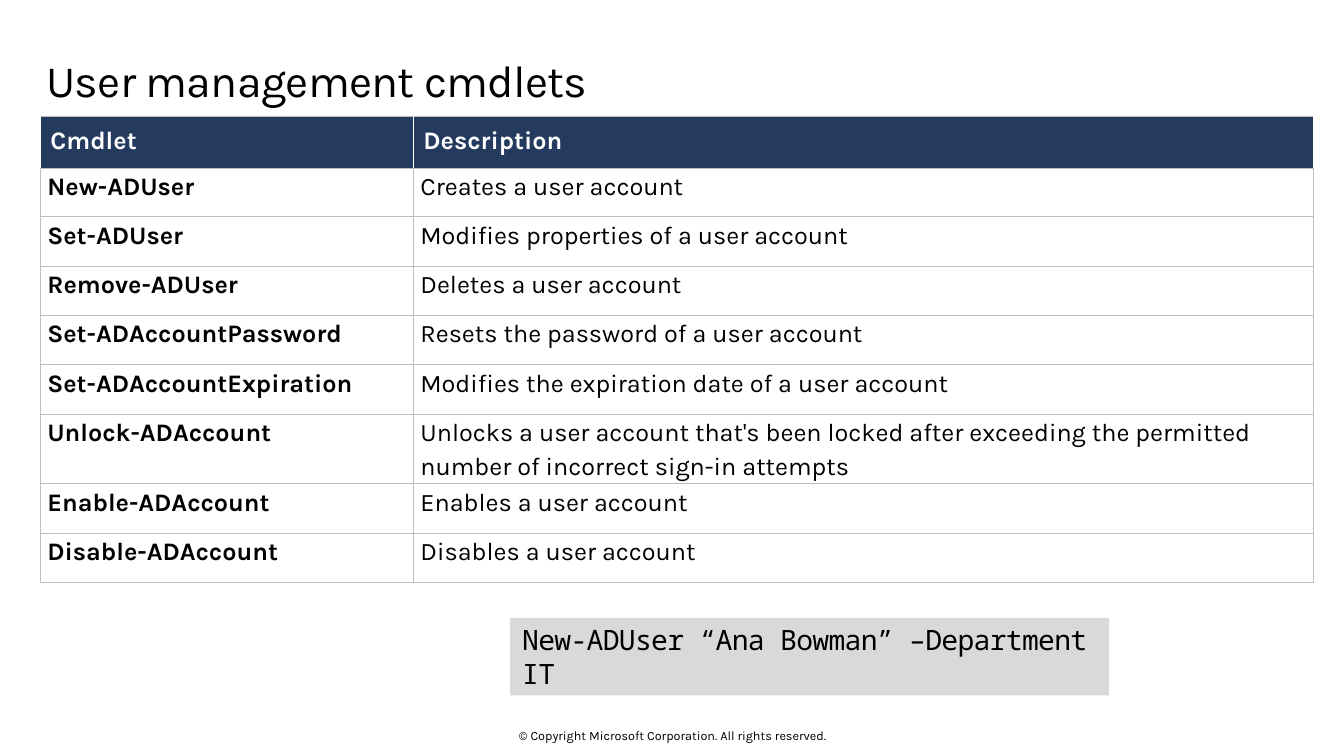
"""Build the slide that lists the user management cmdlets."""
import lxml.etree
import pptx
import pptx.dml.color
import pptx.enum.shapes
import pptx.enum.text
import pptx.oxml
import pptx.oxml.ns
import pptx.util

Inches = pptx.util.Inches
Pt = pptx.util.Pt
RGBColor = pptx.dml.color.RGBColor
PP_ALIGN = pptx.enum.text.PP_ALIGN
MSO_ANCHOR = pptx.enum.text.MSO_ANCHOR

BLACK = RGBColor(0x00, 0x00, 0x00)
WHITE = RGBColor(0xFF, 0xFF, 0xFF)
NAVY = RGBColor(0x24, 0x3A, 0x5E)
RULE_GRAY = RGBColor(0xBF, 0xBF, 0xBF)
CODE_GRAY = RGBColor(0xD9, 0xD9, 0xD9)

CMDLETS = [
    ("Cmdlet", "Description"),
    ("New-ADUser", "Creates a user account"),
    ("Set-ADUser", "Modifies properties of a user account"),
    ("Remove-ADUser", "Deletes a user account"),
    ("Set-ADAccountPassword", "Resets the password of a user account"),
    ("Set-ADAccountExpiration", "Modifies the expiration date of a user account"),
    ("Unlock-ADAccount", "Unlocks a user account that's been locked after exceeding "
                         "the permitted number of incorrect sign-in attempts"),
    ("Enable-ADAccount", "Enables a user account"),
    ("Disable-ADAccount", "Disables a user account"),
]
COLUMN_WIDTHS = [3.7, 8.93]
ROW_HEIGHTS = [0.52, 0.48, 0.49, 0.49, 0.49, 0.49, 0.53, 0.49, 0.49]


def write_text(tf, text, size=18, font="Karla", color=BLACK, bold=False, align=PP_ALIGN.LEFT,
               anchor=MSO_ANCHOR.TOP, insets=(0, 0, 0, 0), line_spacing=None, tracking=None):
    """Fill a text frame with one formatted paragraph."""
    tf.word_wrap = True
    tf.vertical_anchor = anchor
    tf.margin_left, tf.margin_top, tf.margin_right, tf.margin_bottom = map(Inches, insets)
    p = tf.paragraphs[0]
    p.alignment = align
    p.line_spacing = line_spacing
    r = p.add_run()
    r.text = text
    r.font.size = Pt(size)
    r.font.name = font
    r.font.bold = bold
    r.font.color.rgb = color
    if tracking is not None:
        r._r.get_or_add_rPr().set("spc", str(int(tracking * 100)))


def add_border(cell, side, color):
    """Draw one half-point edge of a table cell."""
    qn = pptx.oxml.ns.qn
    ln = lxml.etree.SubElement(cell._tc.get_or_add_tcPr(), qn(f"a:ln{side}"), w=str(Pt(0.5)))
    fill = lxml.etree.SubElement(ln, qn("a:solidFill"))
    lxml.etree.SubElement(fill, qn("a:srgbClr"), val=str(color))


prs = pptx.Presentation()
prs.slide_width = Inches(13.33)
prs.slide_height = Inches(7.5)
s = prs.slides.add_slide(prs.slide_layouts[6])

footer = s.shapes.add_textbox(Inches(4.42), Inches(7.22), Inches(4.5), Inches(0.15))
write_text(footer.text_frame, "© Copyright Microsoft Corporation. All rights reserved.",
           size=9, align=PP_ALIGN.CENTER, anchor=MSO_ANCHOR.MIDDLE)

title = s.shapes.add_textbox(Inches(0.46), Inches(0.48), Inches(12.4), Inches(0.74))
write_text(title.text_frame, "User management cmdlets", size=32,
           insets=(0, 0.1, 0.16, 0.1), line_spacing=0.9, tracking=-0.5)

table = s.shapes.add_table(len(CMDLETS), len(COLUMN_WIDTHS), Inches(0.4), Inches(1.15),
                           Inches(sum(COLUMN_WIDTHS)), Inches(sum(ROW_HEIGHTS))).table
table.first_row = True
table.horz_banding = False
for column, width in zip(table.columns, COLUMN_WIDTHS):
    column.width = Inches(width)
for i, (row, height, texts) in enumerate(zip(table.rows, ROW_HEIGHTS, CMDLETS)):
    row.height = Inches(height)
    header = i == 0
    for j, (cell, text) in enumerate(zip(row.cells, texts)):
        write_text(cell.text_frame, text, color=WHITE if header else BLACK,
                   bold=header or j == 0, line_spacing=None if header else 1.15)
        side_inset, end_inset = (0.1, 0.1) if header else (0.07, 0)
        cell.margin_left = cell.margin_right = Inches(side_inset)
        cell.margin_top = cell.margin_bottom = Inches(end_inset)
        cell.vertical_anchor = MSO_ANCHOR.TOP
        for side in "LRTB":
            add_border(cell, side, WHITE if header and side in "LR" else RULE_GRAY)
        cell.fill.solid()
        cell.fill.fore_color.rgb = NAVY if header else WHITE

sp = s.shapes.add_shape(pptx.enum.shapes.MSO_SHAPE.RECTANGLE,
                        Inches(5.06), Inches(6.13), Inches(5.94), Inches(0.77))
sp.shadow.inherit = False
sp.fill.solid()
sp.fill.fore_color.rgb = CODE_GRAY
sp.line.fill.background()
write_text(sp.text_frame, "New-ADUser “Ana Bowman” –Department IT", size=20,
           font="Noto Sans Mono", insets=(0.12, 0.05, 0, 0.05), tracking=-0.5)

prs.save("out.pptx")
